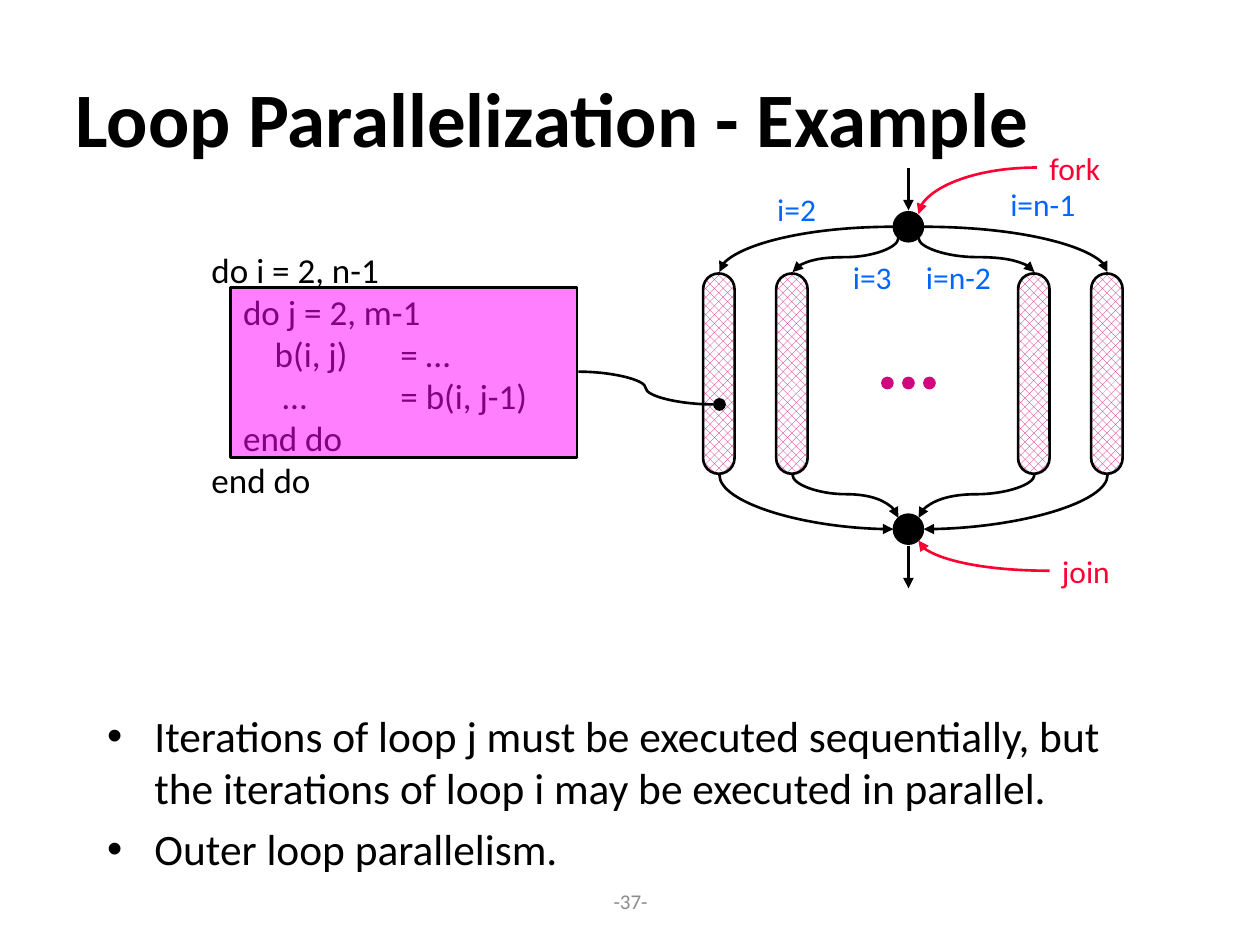
from lxml import etree
from pptx import Presentation
from pptx import util as u
from pptx.dml.color import RGBColor
from pptx.enum import dml, shapes, text
from pptx.oxml.ns import qn

BLACK = RGBColor(0, 0, 0)
WHITE = RGBColor(255, 255, 255)
GRAY = RGBColor(0x8C, 0x8C, 0x8C)
RED = RGBColor(0xFF, 0x00, 0x33)
BLUE = RGBColor(0x00, 0x66, 0xFF)
CRIMSON = RGBColor(0xD0, 0x08, 0x7F)
MAGENTA = RGBColor(0xFF, 0x00, 0xFF)
FONT = "Calibri"

CODE = [
    "do i = 2, n-1",
    "    do j = 2, m-1",
    "        b(i, j)\t= …",
    "         …\t= b(i, j-1)",
    "    end do",
    "end do",
]
POINTS = [
    "Iterations of loop j must be executed sequentially, but the iterations "
    "of loop i may be executed in parallel.",
    "Outer loop parallelism.",
]
LABELS = [
    ("fork", 8.23, 1.13, 0.72, RED),
    ("join", 8.33, 4.33, 0.63, RED),
    ("i=2", 6.07, 1.46, 0.55, BLUE),
    ("i=3", 6.67, 2, 0.55, BLUE),
    ("i=n-2", 7.25, 2, 0.78, BLUE),
    ("i=n-1", 7.92, 1.42, 0.74, BLUE),
]
AXIS = 7.21
FORK_Y, JOIN_Y = 1.8, 4.2
OUTER = (5.71, 8.79)
INNER = (6.29, 8.21)
PILL_TOP, PILL_BOTTOM = 2.16, 3.77


def style_font(paragraph, size, color, bold=False):
    font = paragraph.font
    font.name = FONT
    font.size = u.Pt(size)
    font.bold = bold
    font.color.rgb = color


def place(shape, left, top, width, height):
    shape.left, shape.top = u.Inches(left), u.Inches(top)
    shape.width, shape.height = u.Inches(width), u.Inches(height)


def fill_title(title):
    place(title, 0.5, 0.3, 9, 1.25)
    frame = title.text_frame
    frame.text = "Loop Parallelization - Example"
    frame.auto_size = text.MSO_AUTO_SIZE.NONE
    frame.vertical_anchor = text.MSO_ANCHOR.MIDDLE
    frame.paragraphs[0].alignment = text.PP_ALIGN.LEFT
    style_font(frame.paragraphs[0], 44, BLACK, bold=True)


def fill_points(body):
    place(body, 0.75, 5.58, 8.5, 1.58)
    frame = body.text_frame
    frame.text = "\n".join(POINTS)
    frame.auto_size = text.MSO_AUTO_SIZE.NONE
    for index, point in enumerate(frame.paragraphs):
        point.space_before = u.Pt(5 if index else 0)
        style_font(point, 24.8, BLACK)


def add_text(slide, wording, left, top, width, height, size, color):
    box = slide.shapes.add_textbox(*map(u.Inches, (left, top, width, height)))
    frame = box.text_frame
    frame.text = wording
    frame.word_wrap = False
    frame.auto_size = text.MSO_AUTO_SIZE.SHAPE_TO_FIT_TEXT
    for paragraph in frame.paragraphs:
        style_font(paragraph, size, color)
    return frame


def add_code(slide):
    frame = add_text(slide, "", 1.58, 1.92, 2.89, 2.1, 20, BLACK)
    for index, wording in enumerate(CODE):
        line = frame.add_paragraph() if index else frame.paragraphs[0]
        line.text = wording
        properties = line._p.get_or_add_pPr()
        for old in list(properties):
            properties.remove(old)
        tabs = etree.SubElement(properties, qn("a:tabLst"))
        etree.SubElement(tabs, qn("a:tab"), pos=str(u.Inches(1.5)), algn="l")
        style_font(line, 20, BLACK)


def add_page_number(slide):
    frame = add_text(slide, "-37-", 3.42, 6.95, 3.17, 0.4, 12, GRAY)
    frame.word_wrap = True
    frame.auto_size = text.MSO_AUTO_SIZE.NONE
    frame.vertical_anchor = text.MSO_ANCHOR.MIDDLE
    frame.paragraphs[0].alignment = text.PP_ALIGN.CENTER


def add_outlined(slide, kind, left, top, width, height, color=BLACK):
    shape = slide.shapes.add_shape(kind, *map(u.Inches, (left, top, width, height)))
    shape.shadow.inherit = False
    shape.line.color.rgb = color
    shape.line.width = u.Pt(1.5)
    return shape


def add_dot(slide, x, y, size, color=BLACK):
    dot = add_outlined(slide, shapes.MSO_SHAPE.OVAL, x - size / 2, y - size / 2, size, size, color)
    dot.fill.solid()
    dot.fill.fore_color.rgb = color


def add_pill(slide, x):
    pill = add_outlined(slide, shapes.MSO_SHAPE.ROUNDED_RECTANGLE, x - 0.13, 2.17, 0.25, 1.59)
    pill.adjustments[0] = 0.5
    pill.fill.patterned()
    pill.fill.pattern = dml.MSO_PATTERN.PERCENT_50
    pill.fill.fore_color.rgb = CRIMSON
    pill.fill.back_color.rgb = WHITE


def add_highlight(slide):
    block = add_outlined(slide, shapes.MSO_SHAPE.RECTANGLE, 1.83, 2.28, 2.75, 1.35)
    block.fill.solid()
    block.fill.fore_color.rgb = MAGENTA
    color = block._element.spPr.find(qn("a:solidFill"))[0]
    etree.SubElement(color, qn("a:alpha"), val="50000")


def add_line(slide, kind, start, end, color=BLACK, arrow=True):
    line = slide.shapes.add_connector(kind, *map(u.Inches, (*start, *end)))
    line.line.color.rgb = color
    line.line.width = u.Pt(1.5)
    if arrow:
        etree.SubElement(line.line._get_or_add_ln(), qn("a:tailEnd"), type="triangle")
    etree.SubElement(line._element.spPr, qn("a:effectLst"))
    return line


def add_curve(slide, start, end, color=BLACK, bend=None, downward=False, arrow=True):
    if downward:
        middle_x, middle_y = (start[0] + end[0]) / 2, (start[1] + end[1]) / 2
        half_x, half_y = (end[0] - start[0]) / 2, (end[1] - start[1]) / 2
        start = (middle_x - half_y, middle_y + half_x)
        end = (middle_x + half_y, middle_y - half_x)
    curve = add_line(slide, shapes.MSO_CONNECTOR.CURVE, start, end, color, arrow)
    properties = curve._element.spPr
    if downward:
        properties.find(qn("a:xfrm")).set("rot", "5400000")
    geometry = properties.find(qn("a:prstGeom"))
    if bend is None:
        geometry.set("prst", "curvedConnector2")
    else:
        guides = geometry.find(qn("a:avLst"))
        etree.SubElement(guides, qn("a:gd"), name="adj1", fmla=f"val {round(bend * 100000)}")


def add_fork_join(slide):
    for y in (FORK_Y, JOIN_Y):
        add_dot(slide, AXIS, y, 0.23)
    for x in OUTER + INNER:
        add_pill(slide, x)
    for side, outer, inner in zip((-1, 1), OUTER, INNER):
        edge, corner = AXIS + side * 0.12, AXIS + side * 0.08
        add_curve(slide, (edge, FORK_Y), (outer, PILL_TOP))
        add_curve(slide, (corner, 1.89), (inner, PILL_TOP), bend=0.56, downward=True)
        add_curve(slide, (inner, PILL_BOTTOM), (corner, 4.11), bend=0.45, downward=True)
        add_curve(slide, (outer, PILL_BOTTOM), (edge, JOIN_Y), downward=True)
    for step in (-1, 0, 1):
        add_dot(slide, AXIS + step / 6, 3.04, 0.08, CRIMSON)
    for top in (1.33, 4.33):
        add_line(slide, shapes.MSO_CONNECTOR.STRAIGHT, (AXIS, top), (AXIS, top + 0.34))
    add_curve(slide, (8.23, 1.33), (7.29, 1.7), RED)
    add_curve(slide, (8.33, 4.53), (7.29, 4.29), RED)


def main():
    deck = Presentation()
    deck.slide_width, deck.slide_height = u.Inches(10), u.Inches(7.5)
    slide = deck.slides.add_slide(deck.slide_layouts[1])
    fill_title(slide.shapes.title)
    fill_points(slide.placeholders[1])
    add_page_number(slide)
    add_code(slide)
    add_fork_join(slide)
    add_highlight(slide)
    add_dot(slide, OUTER[0], 3.21, 0.08)
    add_curve(slide, (4.59, 2.95), (5.66, 3.21), bend=0.5, arrow=False)
    for wording, left, top, width, color in LABELS:
        add_text(slide, wording, left, top, width, 0.4, 18, color)
    deck.save("out.pptx")


if __name__ == "__main__":
    main()
